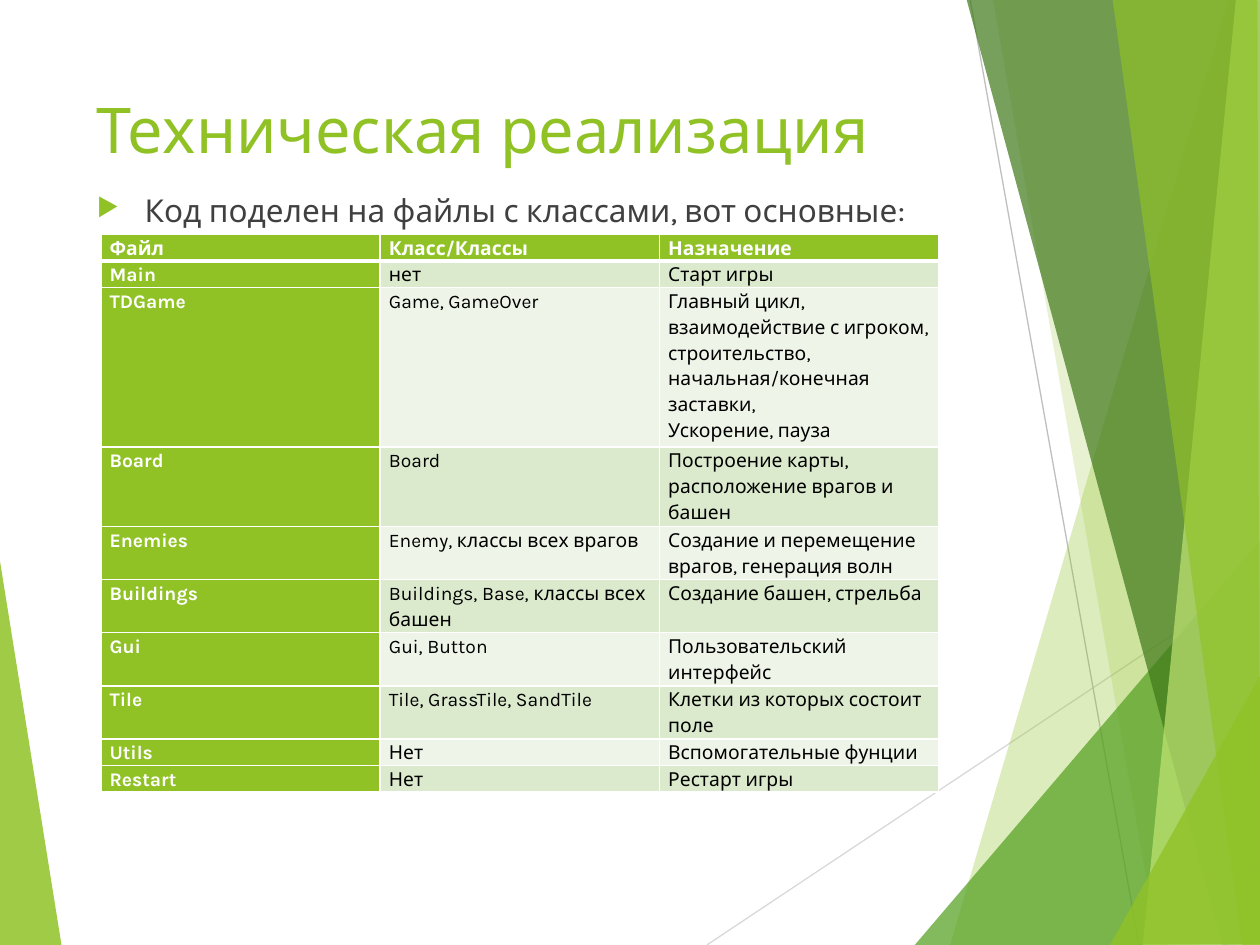
"""Builds the slide on technical implementation: a table of files and classes on a faceted green backdrop."""
from dataclasses import dataclass

from lxml.etree import SubElement
from pptx import Presentation
from pptx.dml.color import RGBColor as Color
from pptx.enum.shapes import MSO_CONNECTOR as Connector
from pptx.oxml.ns import qn
from pptx.util import Inches, Pt


@dataclass(frozen=True)
class Theme:
    font: str = "Karla"
    green: str = "90C226"
    leaf: str = "54A021"
    forest: str = "3F7819"
    lime: str = "C0E474"
    band: str = "DBE9CD"
    pale: str = "EEF4E8"
    white: str = "FFFFFF"
    black: str = "000000"
    body: str = "404040"
    silver: str = "D9D9D9"
    gray: str = "BFBFBF"
    title_size: int = 36
    body_size: int = 18
    cell_size: int = 11


def style(para, size, color, bold=False):
    para.font.name = theme.font
    para.font.size = Pt(size)
    para.font.bold = bold
    para.font.color.rgb = Color.from_string(color)


def add_facet(points, color, opacity):
    corners = [(Inches(x), Inches(y)) for x, y in points]
    builder = page.shapes.build_freeform(*corners[0], scale=1.0)
    builder.add_line_segments(corners[1:], close=True)
    facet = builder.convert_to_shape()
    facet.shadow.inherit = False
    facet.line.fill.background()
    facet.fill.solid()
    facet.fill.fore_color.rgb = Color.from_string(color)
    shade = facet.fill._xPr.find(".//" + qn("a:srgbClr"))
    SubElement(shade, qn("a:alpha"), val=str(opacity * 1000))


theme = Theme()
deck = Presentation()
deck.slide_width, deck.slide_height = Inches(10), Inches(7.5)
page = deck.slides.add_slide(deck.slide_layouts[6])

add_facet([(-0.01, 4.39), (0.49, 7.51), (-0.01, 7.5)], theme.green, 85)

for start, end, color in [
    ((5.61, 7.5), (10.01, 4.57), theme.silver),
    ((7.7, 0), (9.04, 7.5), theme.gray),
]:
    ray = page.shapes.add_connector(Connector.STRAIGHT, *map(Inches, start + end))
    ray.line.color.rgb = Color.from_string(color)
    ray.line.width = Pt(0.75)
    SubElement(ray._element.spPr, qn("a:effectLst"))

right_facets = [
    ([(9.75, 0), (7.54, 7.5), (10.02, 7.51), (10.01, 0.01)], theme.green, 30),
    ([(7.88, -0.01), (9.19, 7.5), (10.01, 7.5), (10.01, -0.01)], theme.green, 20),
    ([(7.26, 7.5), (10, 4.29), (10.01, 7.5)], theme.leaf, 72),
    ([(7.67, -0.01), (9.7, 7.5), (10.01, 7.49), (10.01, -0.01)], theme.forest, 70),
    ([(9.81, -0.01), (9.07, 7.5), (10.01, 7.5), (10, -0.01)], theme.lime, 70),
    ([(8.83, -0.01), (9.86, 7.5), (10, 7.5), (9.98, -0.01)], theme.green, 65),
    ([(8.81, 7.5), (10.01, 5.35), (10.01, 7.49)], theme.green, 80),
]
for points, color, opacity in right_facets:
    add_facet(points, color, opacity)

title_box = page.shapes.add_textbox(Inches(0.67), Inches(0.67), Inches(6.94), Inches(0.72))
title_box.text_frame.word_wrap = True
title = title_box.text_frame.paragraphs[0]
title.text = "Техническая реализация"
style(title, theme.title_size, theme.green)

body_box = page.shapes.add_textbox(Inches(0.67), Inches(1.47), Inches(6.94), Inches(5.14))
body_box.text_frame.word_wrap = True
intro = body_box.text_frame.paragraphs[0]
intro.text = "Код поделен на файлы с классами, вот основные:"
intro.space_before = Pt(10)
bullet = intro._p.get_or_add_pPr()
bullet.set("marL", str(Inches(0.38)))
bullet.set("indent", str(Inches(-0.38)))
SubElement(SubElement(bullet, qn("a:buClr")), qn("a:srgbClr"), val=theme.green)
SubElement(bullet, qn("a:buSzPct"), val="80000")
SubElement(bullet, qn("a:buChar"), char="▶")
style(intro, theme.body_size, theme.body)

rows = [
    (1, "Файл", "Класс/Классы", "Назначение"),
    (1, "Main", "нет", "Старт игры"),
    (6, "TDGame", "Game, GameOver",
     "Главный цикл, взаимодействие с игроком, строительство,\n"
     "начальная/конечная заставки,\nУскорение, пауза"),
    (3, "Board", "Board", "Построение карты, расположение врагов и башен"),
    (2, "Enemies", "Enemy, классы всех врагов", "Создание и перемещение врагов, генерация волн"),
    (2, "Buildings", "Buildings, Base, классы всех башен", "Создание башен, стрельба"),
    (2, "Gui", "Gui, Button", "Пользовательский интерфейс"),
    (2, "Tile", "Tile, GrassTile, SandTile", "Клетки из которых состоит поле"),
    (1, "Utils", "Нет", "Вспомогательные фунции"),
    (1, "Restart", "Нет", "Рестарт игры"),
]
frame = page.shapes.add_table(len(rows), 3, Inches(0.8), Inches(1.86), Inches(6.65), Inches(4.29))
table = frame.table
table.first_col = True

for row, (lines, *texts) in enumerate(rows):
    table.rows[row].height = Inches(0.2 * lines)
    for column, text in enumerate(texts):
        cell = table.cell(row, column)
        heading = row == 0 or column == 0
        fill = theme.green if heading else theme.band if row % 2 else theme.pale
        cell.margin_left = cell.margin_right = Inches(0.07)
        cell.margin_top = cell.margin_bottom = 0
        cell.text = text
        for para in cell.text_frame.paragraphs:
            para.line_spacing = 1.15
            style(para, theme.cell_size, theme.white if heading else theme.black, heading)
        for side in ("lnL", "lnR", "lnT", "lnB"):
            thick = (row == 0 and side == "lnB") or (row == 1 and side == "lnT")
            edge = SubElement(cell._tc.get_or_add_tcPr(), qn("a:" + side), w=str(Pt(3 if thick else 1)))
            SubElement(SubElement(edge, qn("a:solidFill")), qn("a:srgbClr"), val=theme.white)
        cell.fill.solid()
        cell.fill.fore_color.rgb = Color.from_string(fill)

deck.save("out.pptx")
